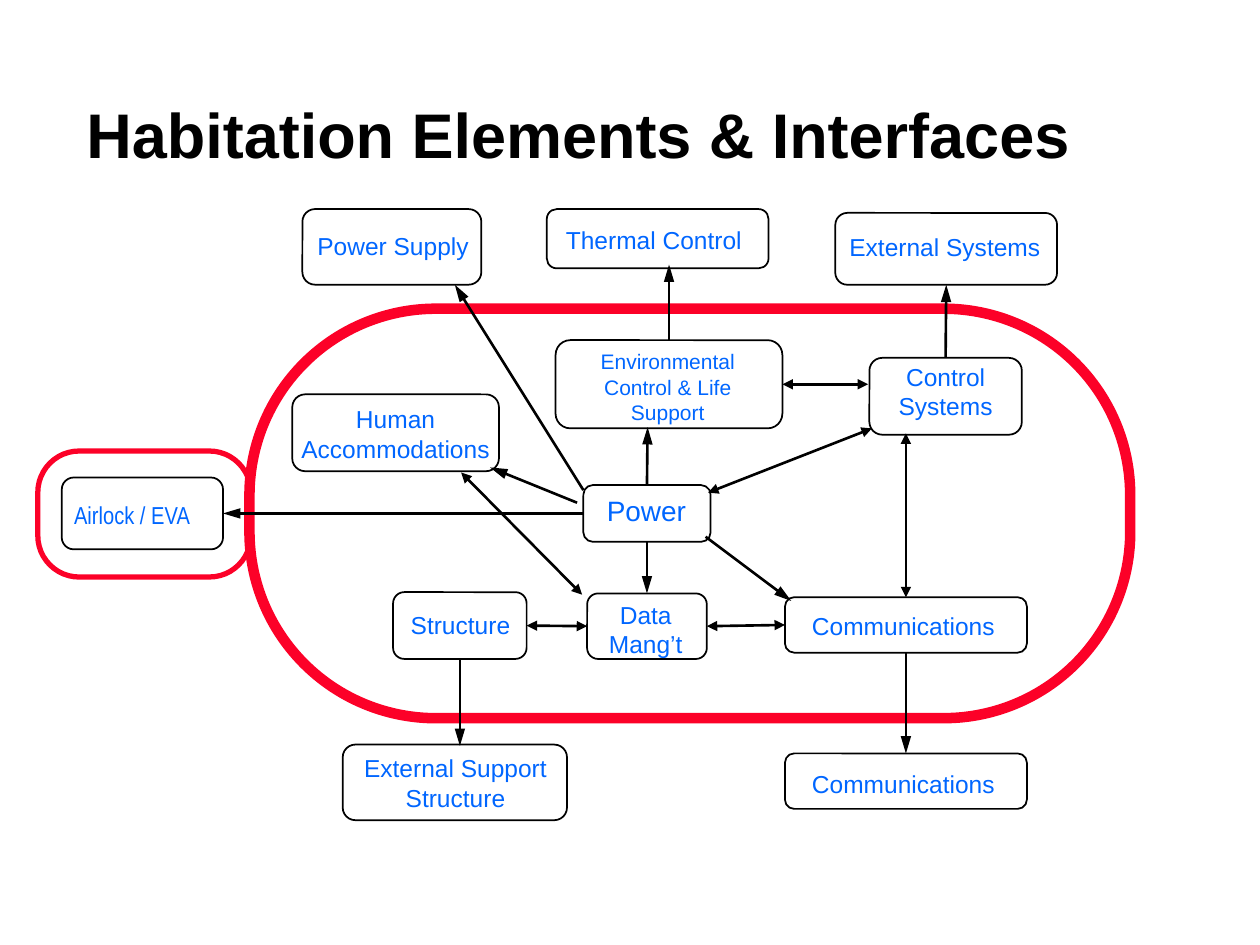
import pptx
import pptx.util
import pptx.dml.color
import pptx.enum.shapes
import pptx.enum.text
import pptx.oxml

Inches = pptx.util.Inches
Pt = pptx.util.Pt
Align = pptx.enum.text.PP_ALIGN
Anchor = pptx.enum.text.MSO_ANCHOR
COLORS = {"ink": "000000", "label": "0066FF", "hull": "FC0128"}
TOP, LEFT, BOTTOM, RIGHT = range(4)

NODES = {
    "outside": ((6.63, 1.69, 1.76, 0.57), (6.63, 1.81, 1.74, 0.23), "External Systems", 14),
    "thermal": ((4.34, 1.66, 1.76, 0.47), (4.39, 1.76, 1.6, 0.27), "Thermal Control", 14),
    "supply": ((2.4, 1.66, 1.42, 0.6), (2.43, 1.8, 1.38, 0.24), "Power Supply", 14),
    "life": ((4.41, 2.7, 1.8, 0.7), (4.61, 2.74, 1.38, 0.33),
             "Environmental Control & Life Support", 12),
    "power": ((4.63, 3.85, 1.01, 0.45), (4.64, 3.89, 0.98, 0.31), "Power", 16),
    "data": ((4.66, 4.71, 0.95, 0.52), (4.7, 4.73, 0.85, 0.48), "Data Mang’t", 14),
    "control": ((6.9, 2.84, 1.21, 0.61), (7.06, 2.84, 0.89, 0.62), "Control Systems", 14),
    "ground": ((6.23, 5.98, 1.92, 0.44), (6.33, 6.07, 1.68, 0.17), "Communications", 14),
    "support": ((2.72, 5.91, 1.78, 0.6), (2.77, 5.95, 1.69, 0.33),
                "External Support Structure", 14),
    "human": ((2.32, 3.13, 1.64, 0.61), (2.31, 3.18, 1.66, 0.46), "Human Accommodations", 14),
    "comms": ((6.23, 4.74, 1.92, 0.44), (6.33, 4.82, 1.68, 0.17), "Communications", 14),
    "frame": ((3.12, 4.7, 1.06, 0.53), (3.14, 4.81, 1.03, 0.22), "Structure", 14),
}

SINGLE = [
    ((4.63, 3.89), (3.61, 2.26)),
    (("power", TOP), (5.14, 3.39)),
    (("life", TOP), (5.31, 2.1)),
    (("control", TOP), ("outside", BOTTOM)),
    (("power", LEFT), ("airlock", RIGHT)),
    ((5.6, 4.26), (6.28, 4.77)),
    (("comms", BOTTOM), ("ground", TOP)),
    (("power", BOTTOM), ("data", TOP)),
    (("frame", BOTTOM), (3.65, 5.92)),
    ((4.58, 3.99), (3.89, 3.71)),
]
DOUBLE = [
    (("comms", TOP), (7.19, 3.44)),
    (("comms", LEFT), ("data", RIGHT)),
    (("data", LEFT), ("frame", RIGHT)),
    ((4.62, 4.72), (3.66, 3.75)),
    ((6.89, 3.05), ("life", RIGHT)),
    ((6.92, 3.4), (5.62, 3.91)),
]


class Deck:
    """Holds the style and the current slide."""

    def __init__(self):
        self.prs = pptx.Presentation()
        self.prs.slide_width, self.prs.slide_height = Inches(10), Inches(7.5)
        self.slide = self.prs.slides.add_slide(self.prs.slide_layouts[6])
        self.boxes = {}

    def color(self, name):
        return pptx.dml.color.RGBColor.from_string(COLORS[name])

    def box(self, key, area, line="ink", width=1, curve=0.167):
        kind = pptx.enum.shapes.MSO_SHAPE.ROUNDED_RECTANGLE
        shape = self.slide.shapes.add_shape(kind, *map(Inches, area))
        shape.adjustments[0] = curve
        shape.shadow.inherit = False
        shape.fill.background()
        shape.line.color.rgb = self.color(line)
        shape.line.width = Pt(width)
        self.boxes[key] = shape

    def text(self, area, words, size, font="Arial", color="label", bold=False,
             align=Align.CENTER, anchor=Anchor.TOP, inset=(0.07, 0.03), wrap=True):
        frame = self.slide.shapes.add_textbox(*map(Inches, area)).text_frame
        side, edge = map(Inches, inset)
        form = {"word_wrap": wrap, "vertical_anchor": anchor, "margin_left": side,
                "margin_right": side, "margin_top": edge, "margin_bottom": edge}
        for name, value in form.items():
            setattr(frame, name, value)
        para = frame.paragraphs[0]
        para.alignment = align
        run = para.add_run()
        run.text = words
        for name, value in {"name": font, "size": Pt(size), "bold": bold}.items():
            setattr(run.font, name, value)
        run.font.color.rgb = self.color(color)

    def arrow(self, start, end, ends=("tailEnd",), length="lg"):
        kind = pptx.enum.shapes.MSO_CONNECTOR.STRAIGHT
        spots = [(0, 0) if isinstance(p[0], str) else p for p in (start, end)]
        link = self.slide.shapes.add_connector(kind, *map(Inches, spots[0] + spots[1]))
        for point, join in ((start, link.begin_connect), (end, link.end_connect)):
            if isinstance(point[0], str):
                join(self.boxes[point[0]], point[1])
        link.line.color.rgb = self.color("ink")
        link.line.width = Pt(1.5)
        line = link.line._get_or_add_ln()
        for name in ends:
            tip = pptx.oxml.ns.qn("a:" + name)
            line.append(line.makeelement(tip, {"type": "triangle", "w": "med", "len": length}))
        props = link._element.spPr
        props.append(props.makeelement(pptx.oxml.ns.qn("a:effectLst"), {}))


def main():
    deck = Deck()
    deck.text((0.2, 0.7, 8.78, 0.72), "Habitation Elements & Interfaces", 36, color="ink",
              bold=True, anchor=Anchor.MIDDLE, inset=(0.1, 0.05))
    deck.box("port", (0.3, 3.58, 1.69, 1), "hull", 3, 0.328)
    deck.box("hull", (1.98, 2.45, 6.99, 3.25), "hull", 6, 0.455)
    deck.box("airlock", (0.49, 3.79, 1.28, 0.57))
    deck.text((0.49, 3.92, 1.13, 0.34), "Airlock / EVA", 14, font="Arial Narrow",
              align=Align.LEFT, inset=(0.1, 0.05), wrap=False)
    for key, (area, label, words, size) in NODES.items():
        deck.box(key, area)
        deck.text(label, words, size)
    for start, end in SINGLE:
        deck.arrow(start, end)
    for start, end in DOUBLE:
        deck.arrow(start, end, ("headEnd", "tailEnd"), "med")
    deck.prs.save("out.pptx")


if __name__ == "__main__":
    main()
